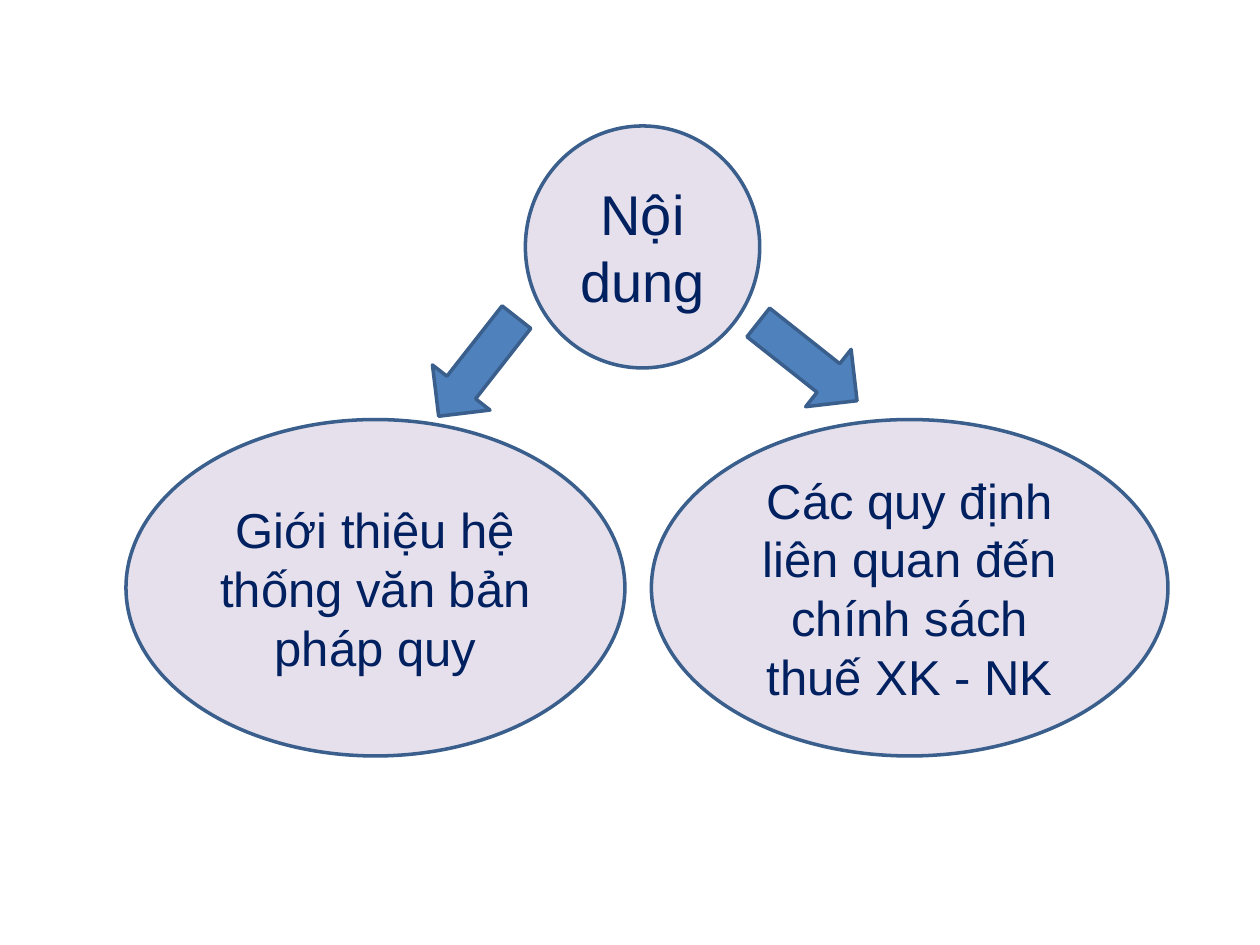
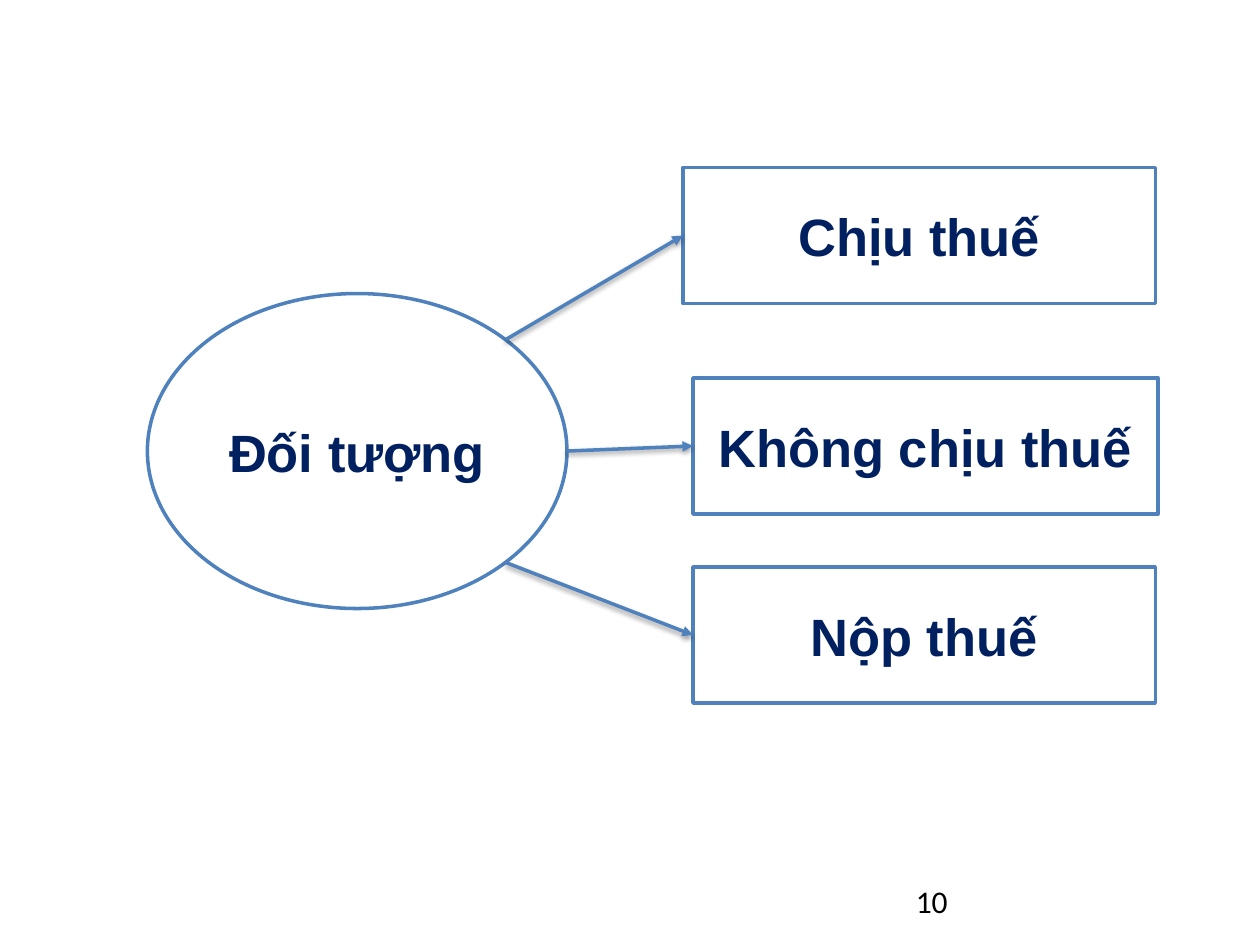
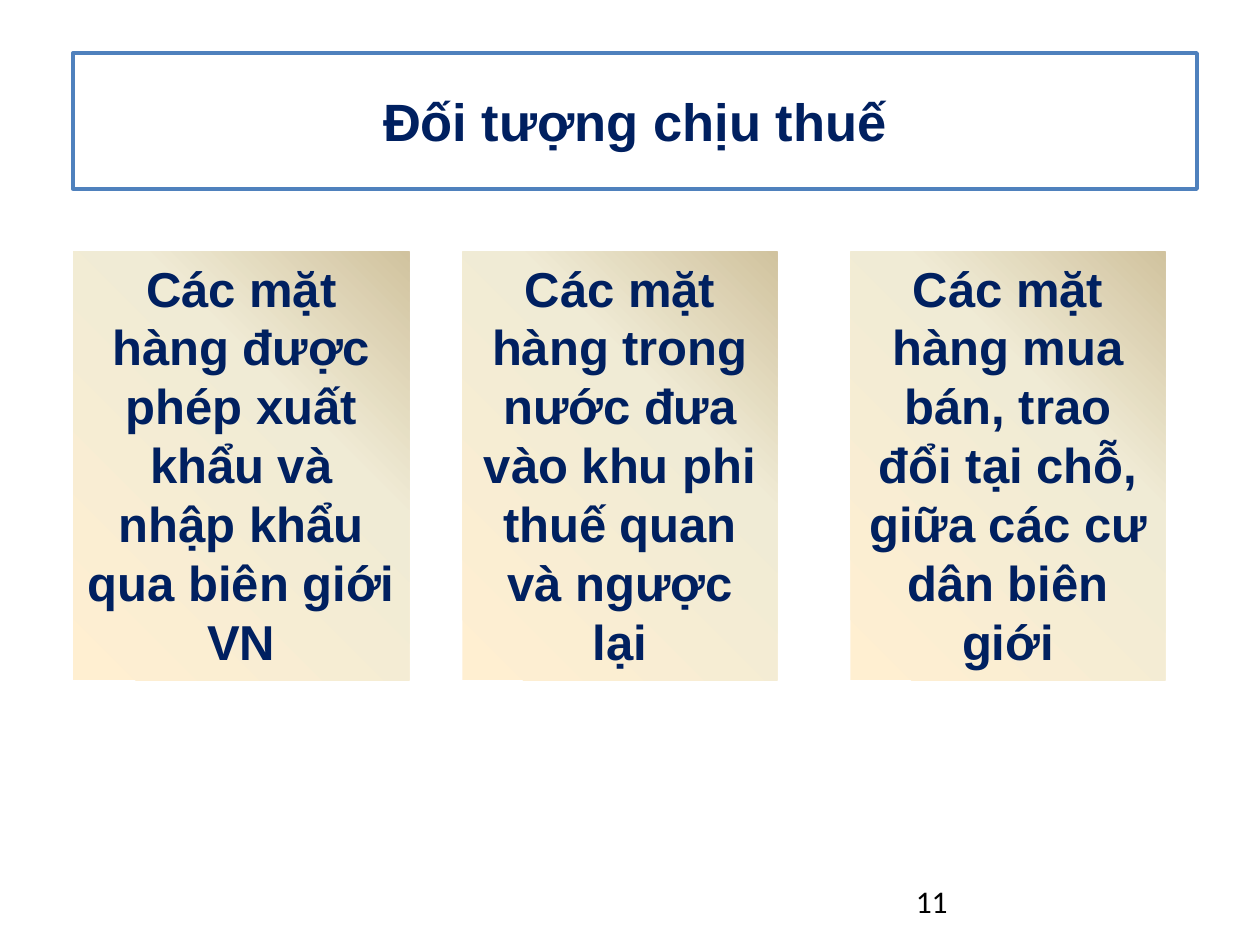
from copy import deepcopy
from dataclasses import dataclass
from math import cos, radians, sin

from lxml import etree
from pptx import Presentation
from pptx.dml.color import RGBColor
from pptx.enum.shapes import MSO_CONNECTOR, MSO_SHAPE
from pptx.enum.text import MSO_ANCHOR, MSO_AUTO_SIZE, PP_ALIGN
from pptx.oxml.ns import qn
from pptx.util import Inches, Pt

OVAL = MSO_SHAPE.OVAL
RECT = MSO_SHAPE.RECTANGLE
ARROW = MSO_SHAPE.RIGHT_ARROW
LINE = MSO_CONNECTOR.STRAIGHT
TOP, MIDDLE = MSO_ANCHOR.TOP, MSO_ANCHOR.MIDDLE
LEFT, CENTER = PP_ALIGN.LEFT, PP_ALIGN.CENTER
GROW = MSO_AUTO_SIZE.SHAPE_TO_FIT_TEXT
LEFT_SITE = 1


@dataclass(frozen=True)
class Theme:
    navy: str = "002060"
    black: str = "000000"
    white: str = "FFFFFF"
    lilac: str = "E6E0EC"
    blue: str = "4F81BD"
    edge: str = "3A5F8C"
    sand: tuple = ((0, "FFEFD1"), (0.65, "F0EBD5"), (1, "D1C39F"))
    face: str = "Arial"
    page_face: str = "Calibri"
    root: int = 32
    head: int = 30
    body: int = 28
    page: int = 18
    stroke: int = 2


T = Theme()
PLAIN = {"name": T.face, "size": Pt(T.body)}
ROOT = {**PLAIN, "size": Pt(T.root)}
STRONG = {**PLAIN, "bold": True}
HEAD = {**STRONG, "size": Pt(T.head)}
PAGE = {"name": T.page_face, "size": Pt(T.page)}


def rgb(code):
    return RGBColor.from_string(code)


def apply(item, values):
    for name, value in values.items():
        setattr(item, name, value)


def write(shape, text, font, color=T.navy, align=CENTER, anchor=MIDDLE):
    frame = shape.text_frame
    apply(frame, {"word_wrap": True, "vertical_anchor": anchor})
    para = frame.paragraphs[0]
    para.alignment = align
    run = para.add_run()
    run.text = text
    apply(run.font, font)
    run.font.color.rgb = rgb(color)


def stroke(line, color):
    line.color.rgb = rgb(color)
    line.width = Pt(T.stroke)


def add_box(slide, kind, box, fill, edge):
    shape = slide.shapes.add_shape(kind, *map(Inches, box))
    shape.shadow.inherit = False
    shape.fill.solid()
    shape.fill.fore_color.rgb = rgb(fill)
    stroke(shape.line, edge)
    return shape


def add_bubble(slide, box, text, font):
    write(add_box(slide, OVAL, box, T.lilac, T.edge), text, font)


def add_frame(slide, kind, box, text):
    shape = add_box(slide, kind, box, T.white, T.blue)
    write(shape, text, HEAD)
    return shape


def add_arrow(slide, left, top, angle):
    shape = add_box(slide, ARROW, (left, top, 1, 0.58), T.blue, T.edge)
    shape.rotation = angle


def add_card(slide, left, width, text):
    box = (left, 2, width, 3.4)
    shape = slide.shapes.add_shape(RECT, *map(Inches, box))
    shape.shadow.inherit = False
    shape.line.fill.background()
    fill = shape.fill
    fill.gradient()
    fill.gradient_angle = 45
    stops = shape.element.spPr.find(".//" + qn("a:gsLst"))
    stops.append(deepcopy(stops[0]))
    for stop, (place, color) in zip(fill.gradient_stops, T.sand):
        stop.position = place
        stop.color.rgb = rgb(color)
    write(shape, text, STRONG, anchor=TOP)
    shape.text_frame.auto_size = GROW


def add_link(slide, hub, angle, target):
    turn = radians(angle)
    start_x = hub.left + hub.width / 2 * (1 + cos(turn))
    start_y = hub.top + hub.height / 2 * (1 + sin(turn))
    link = slide.shapes.add_connector(LINE, int(start_x), int(start_y), 0, 0)
    link.end_connect(target, LEFT_SITE)
    stroke(link.line, T.blue)
    props = link.element.spPr
    etree.SubElement(props.find(qn("a:ln")), qn("a:tailEnd"), type="triangle")
    effects = etree.SubElement(props, qn("a:effectLst"))
    shadow = etree.SubElement(
        effects, qn("a:outerShdw"), blurRad=str(Pt(3.1)), dist=str(Pt(1.6)),
        dir="5400000", rotWithShape="0")
    shade = etree.SubElement(shadow, qn("a:srgbClr"), val=T.black)
    etree.SubElement(shade, qn("a:alpha"), val="38000")


def add_page(slide, number, width, height):
    box = (7.17, 6.95, width, height)
    shape = slide.shapes.add_textbox(*map(Inches, box))
    write(shape, str(number), PAGE, T.black, LEFT, TOP)


def draw_topics(slide):
    add_bubble(slide, (1, 3.33, 3.96, 2.67),
               "Giới thiệu hệ thống văn bản pháp quy", PLAIN)
    add_bubble(slide, (5.17, 3.33, 4.1, 2.67),
               "Các quy định liên quan đến chính sách thuế XK - NK", PLAIN)
    add_bubble(slide, (4.17, 1, 1.86, 1.92), "Nội dung", ROOT)
    add_arrow(slide, 3.29, 2.62, 128.1)
    add_arrow(slide, 5.91, 2.58, 38.4)


def draw_groups(slide):
    add_page(slide, 10, 2.33, 0.4)
    hub = add_frame(slide, OVAL, (1.17, 2.33, 3.33, 2.5), "Đối tượng")
    groups = (
        (5.42, 1.33, 3.75, "Chịu thuế", -45),
        (5.5, 3, 3.69, "Không chịu thuế", 0),
        (5.5, 4.5, 3.67, "Nộp thuế", 45),
    )
    for left, top, width, text, angle in groups:
        target = add_frame(slide, RECT, (left, top, width, 1.08), text)
        add_link(slide, hub, angle, target)


def draw_goods(slide):
    add_page(slide, 11, 1, 0.55)
    add_frame(slide, RECT, (0.58, 0.42, 8.92, 1.08), "Đối tượng chịu thuế")
    goods = (
        (0.58, 2.67,
         "Các mặt hàng được phép xuất khẩu và nhập khẩu qua biên giới VN"),
        (3.67, 2.5,
         "Các mặt hàng trong nước đưa vào khu phi thuế quan và ngược lại"),
        (6.75, 2.5,
         "Các mặt hàng mua bán, trao đổi tại chỗ, giữa các cư dân biên giới"),
    )
    for left, width, text in goods:
        add_card(slide, left, width, text)


def main():
    deck = Presentation()
    apply(deck, {"slide_width": Inches(10), "slide_height": Inches(7.5)})
    blank = deck.slide_layouts[6]
    for draw in (draw_topics, draw_groups, draw_goods):
        draw(deck.slides.add_slide(blank))
    deck.save("out.pptx")


if __name__ == "__main__":
    main()
